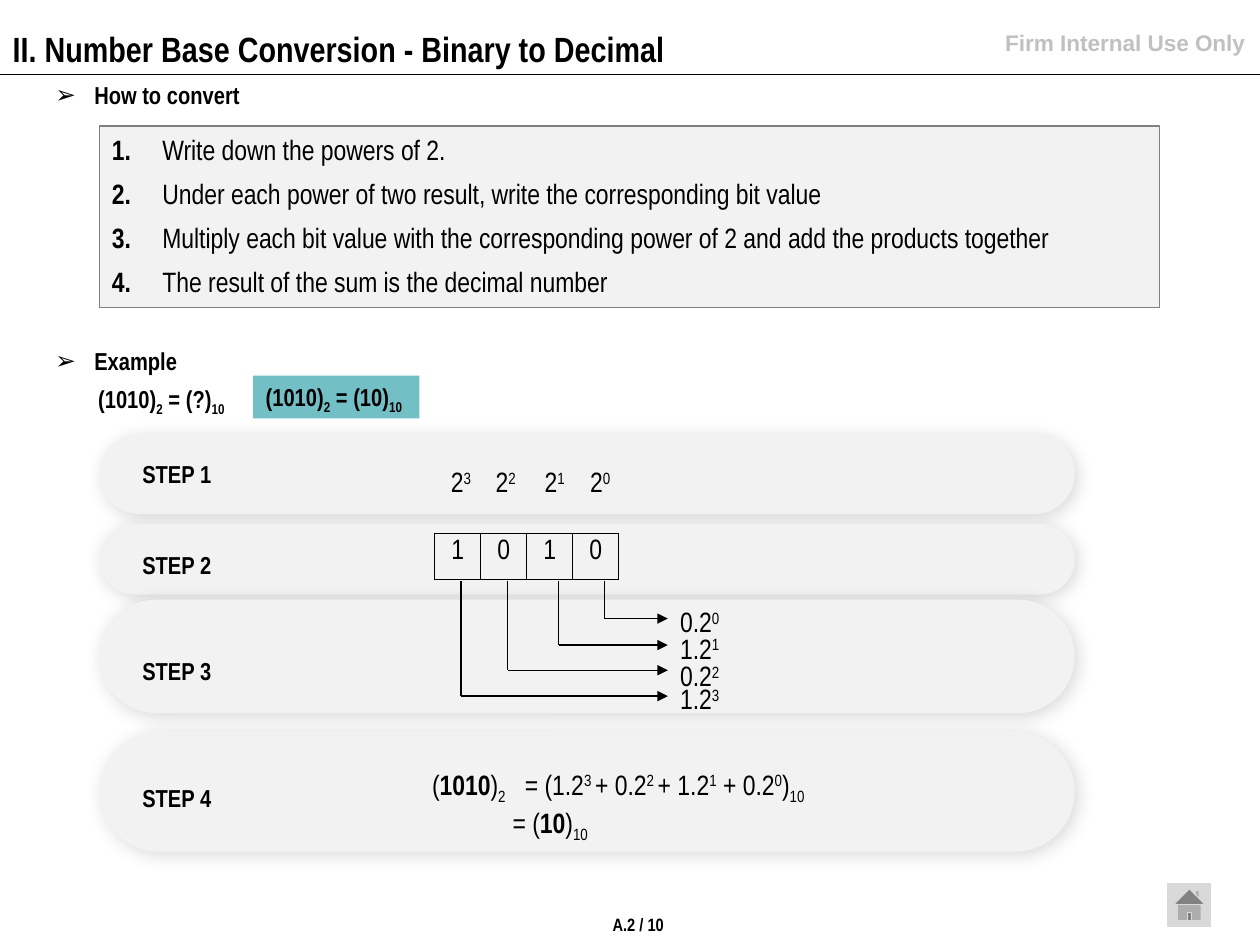
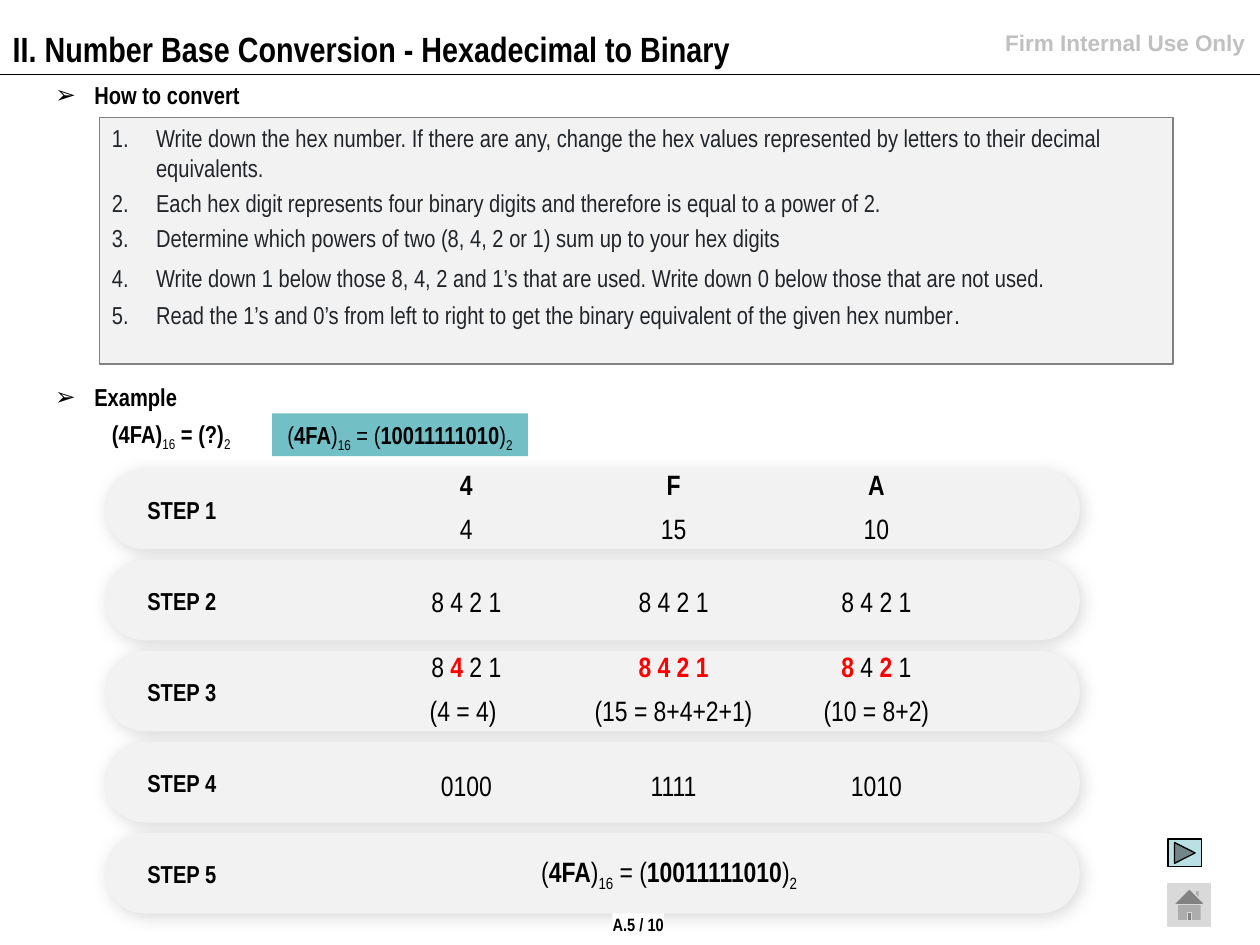
import pptx
import pptx.dml.color
import pptx.enum.shapes
import pptx.enum.text
import pptx.oxml.ns
import pptx.util
from lxml import etree

Pt = pptx.util.Pt
qn = pptx.oxml.ns.qn
SHAPE = pptx.enum.shapes.MSO_SHAPE
ALIGN = pptx.enum.text.PP_ALIGN
ANCHOR = pptx.enum.text.MSO_ANCHOR

COLORS = {
    "black": "000000",
    "white": "FFFFFF",
    "panel": "F2F2F2",
    "panel_line": "808080",
    "ink": "212529",
    "red": "FF0000",
    "answer": "72BFC5",
    "notice": "C0C0C0",
    "home": "D9D9D9",
    "next": "BBE0E3",
}
NO_GRID = "{2D5ABB26-0587-4C30-8999-92F81FD0307C}"
BAND_W = 557.3


def rgb(name):
    return pptx.dml.color.RGBColor.from_string(COLORS[name])


def sub(parent, tag, **attrs):
    return etree.SubElement(parent, qn(tag), {k: str(v) for k, v in attrs.items()})


class Deck:
    font = "Arial Narrow"

    def __init__(self):
        self.prs = pptx.Presentation()
        self.prs.slide_width, self.prs.slide_height = Pt(720), Pt(540)
        self.s = None

    def slide(self, title, page):
        self.s = self.prs.slides.add_slide(self.prs.slide_layouts[5])
        sp = self.s.shapes.title
        sp.left, sp.top, sp.width, sp.height = Pt(0), Pt(12.2), Pt(602.6), Pt(31.7)
        sp.text_frame.auto_size = pptx.enum.text.MSO_AUTO_SIZE.NONE
        self.fill_text(sp.text_frame, [[(title, "b")]], 20)
        self.line(0, 42.5, 720, 42.5)
        self.text(519.8, 13, 198.7, 23, [[("Firm Internal Use Only", "b")]], 12.9,
                  color="notice", align=ALIGN.RIGHT, font="Arial")
        self.page = page

    def finish_slide(self):
        self.button(SHAPE.ACTION_BUTTON_HOME, 504.7, 24.5, 24.5, "home", "home")
        sp = self.box(SHAPE.RECTANGLE, 349.9, 522, 29.5, 12.2, "white")
        tf = sp.text_frame
        tf.margin_left = tf.margin_right = tf.margin_top = tf.margin_bottom = 0
        self.fill_text(tf, [[(self.page, "b")]], 10.2, align=ALIGN.CENTER,
                       anchor=ANCHOR.MIDDLE, wrap=False)

    def run(self, p, item, size, color="black", font=None):
        text, style = item if isinstance(item, tuple) else (item, "")
        r = p.add_run()
        r.text = text
        f = r.font
        f.name, f.size, f.bold = font or self.font, Pt(size), "b" in style
        f.color.rgb = rgb("red" if "r" in style else color)
        if "^" in style or "_" in style:
            r._r.get_or_add_rPr().set("baseline", "30000" if "^" in style else "-25000")
        return r

    def fill_text(self, tf, paragraphs, size, color="black", align=ALIGN.LEFT,
                  anchor=ANCHOR.TOP, wrap=True, font=None):
        tf.word_wrap, tf.vertical_anchor = wrap, anchor
        for i, items in enumerate(paragraphs):
            p = tf.add_paragraph() if i else tf.paragraphs[0]
            p.alignment = align
            for item in items:
                self.run(p, item, size, color, font)
        return tf

    def text(self, x, y, w, h, paragraphs, size, **style):
        sp = self.s.shapes.add_textbox(Pt(x), Pt(y), Pt(w), Pt(h))
        return self.fill_text(sp.text_frame, paragraphs, size, **style)

    def box(self, kind, x, y, w, h, fill, line=None):
        sp = self.s.shapes.add_shape(kind, Pt(x), Pt(y), Pt(w), Pt(h))
        sp.shadow.inherit = False
        sp.fill.solid()
        sp.fill.fore_color.rgb = rgb(fill)
        if line:
            sp.line.color.rgb, sp.line.width = rgb(line), Pt(0.75)
        else:
            sp.line.fill.background()
        return sp

    def button(self, kind, y, w, h, fill, line):
        self.box(kind, 667.4, y, w, h, fill, line)

    def line(self, x1, y1, x2, y2, arrow=False):
        c = self.s.shapes.add_connector(pptx.enum.shapes.MSO_CONNECTOR.STRAIGHT,
                                        Pt(x1), Pt(y1), Pt(x2), Pt(y2))
        c.line.color.rgb, c.line.width = rgb("black"), Pt(0.75)
        if arrow:
            sub(c.line._get_or_add_ln(), "a:tailEnd", type="triangle")
        sub(c._element.spPr, "a:effectLst")

    def indent(self, p, left, hanging=0):
        pPr = p._p.get_or_add_pPr()
        pPr.set("marL", str(Pt(left)))
        pPr.set("indent", str(-Pt(hanging)))
        return pPr

    def tabs(self, p, *stops):
        tab_list = sub(p._p.get_or_add_pPr(), "a:tabLst")
        for stop in stops:
            sub(tab_list, "a:tab", pos=int(Pt(stop)), algn="l")

    def heading(self, text, y, w=620.6):
        p = self.text(24.5, y, w, 33.8, [[(text, "b")]], 14,
                      anchor=ANCHOR.MIDDLE).paragraphs[0]
        p.line_spacing = 0.9
        pPr = self.indent(p, 22.3, 22.3)
        sub(pPr, "a:buFont", typeface="Arial")
        sub(pPr, "a:buChar", char="➢")

    def numbered_panel(self, y, w, h, paragraphs, gaps, size, color):
        sp = self.box(SHAPE.RECTANGLE, 56.9, y, w, h, "panel", "panel_line")
        tf = self.fill_text(sp.text_frame, paragraphs, size, color=color)
        for p, gap in zip(tf.paragraphs, gaps):
            p.space_before = Pt(gap)
            sub(self.indent(p, 25.2, 25.2), "a:buAutoNum", type="arabicPeriod")
        return tf

    def question(self, x, y, w, items):
        tf = self.text(x, y, w, 25.9, [items], 14, anchor=ANCHOR.MIDDLE)
        tf.paragraphs[0].line_spacing = 0.9

    def answer(self, x, y, w, items, align=ALIGN.LEFT):
        sp = self.box(SHAPE.RECTANGLE, x, y, w, 24.5, "answer")
        self.fill_text(sp.text_frame, [items], 14, align=align, wrap=False)

    def step(self, number, x, y, h, label_y):
        sp = self.box(SHAPE.ROUNDED_RECTANGLE, x, y, BAND_W, h, "panel")
        sp.adjustments[0] = 0.5
        effects = sp._element.spPr.find(qn("a:effectLst"))
        shadow = sub(effects, "a:outerShdw", blurRad=int(Pt(10)), dist=int(Pt(2)),
                     dir=45 * 60000, algn="ctr", rotWithShape=0)
        tint = sub(shadow, "a:srgbClr", val=COLORS["black"])
        sub(tint, "a:alpha", val=15000)
        self.text(x + 17.3, label_y, 54, 24.5, [[(f"STEP {number}", "b")]], 14, wrap=False)

    def table(self, x, y, widths, heights):
        frame = self.s.shapes.add_table(len(heights), len(widths), Pt(x), Pt(y),
                                        Pt(sum(widths)), Pt(sum(heights)))
        t = frame.table
        t.first_row = t.horz_banding = False
        t._tbl.tblPr.find(qn("a:tableStyleId")).text = NO_GRID
        for column, w in zip(t.columns, widths):
            column.width = Pt(w)
        for row, h in zip(t.rows, heights):
            row.height = Pt(h)
        return t

    def cell(self, c, items, anchor=ANCHOR.TOP, fill=None, margins=(7.2, 3.6), border=False):
        c.margin_left = c.margin_right = Pt(margins[0])
        c.margin_top = c.margin_bottom = Pt(margins[1])
        c.vertical_anchor = anchor
        if fill:
            c.fill.solid()
            c.fill.fore_color.rgb = rgb(fill)
        else:
            c.fill.background()
        p = c.text_frame.paragraphs[0]
        p.alignment = ALIGN.CENTER
        for item in items:
            self.run(p, item, 16)
        if not items:
            sub(p._p, "a:endParaRPr", sz=800)
        if border:
            tcPr = c._tc.get_or_add_tcPr()
            for i, side in enumerate(("a:lnL", "a:lnR", "a:lnT", "a:lnB")):
                ln = sub(tcPr, side, w=int(Pt(0.5)))
                sub(sub(ln, "a:solidFill"), "a:srgbClr", val=COLORS["black"])
                tcPr.insert(i, ln)


def binary_to_decimal(d):
    d.slide("II. Number Base Conversion - Binary to Decimal", "A.2 / 10")
    rules = [
        "Write down the powers of 2.",
        "Under each power of two result, write the corresponding bit value",
        "Multiply each bit value with the corresponding power of 2 and add the products together",
        "The result of the sum is the decimal number",
    ]
    d.heading("How to convert", 38.2)
    d.numbered_panel(72, 605.5, 103.7, [[(" ", "b"), rule] for rule in rules],
                     [6] * 4, 16, "black")
    d.heading("Example", 190.1)
    d.question(49, 215.3, 620.6, [("(1010)", "b"), ("2", "b_"), (" = (?)", "b"), ("10", "b_")])
    d.answer(144.7, 214.6, 95, [("(1010)", "b"), ("2", "b_"), (" = (10)", "b"), ("10", "b_")])

    steps = [(247.7, 46.1, 258.5), (299.5, 40.3, 311), (342.7, 64.8, 371.5), (418.3, 68.4, 444.2)]
    for n, (y, h, label_y) in enumerate(steps, 1):
        d.step(n, 56.9, y, h, label_y)

    powers = [item for n in "3210" for item in ("\t2", (n, "^"))]
    tf = d.text(232.6, 262.1, 149.8, 26.6, [powers], 16)
    d.tabs(tf.paragraphs[0], 18, 43.5, 71.5, 97.5)

    bits = d.table(248.4, 304.6, [26.3] * 4, [26.6])
    for c, bit in zip(bits.rows[0].cells, "1010"):
        d.cell(c, [bit], fill="panel", border=True)

    branches = [(345.6, 353.5, 342), (319.3, 368.6, 357.1),
                (290.2, 383, 373), (263.5, 397.8, 385.9)]
    for power, (x, y, product_y) in enumerate(branches):
        d.line(x, y, 381.6, y, arrow=True)
        d.line(x, 331.9, x, y)
        d.text(381.6, product_y, 57.6, 26.6, [[f"{power % 2}.2", (str(power), "^")]], 16)

    total = d.text(239.8, 434.9, 247, 59, [
        ["(", ("1010", "b"), ")", ("2", "_"), "\t= (1.2", ("3 ", "^"), "+ 0.2", ("2 ", "^"),
         "+ 1.2", ("1", "^"), " + 0.2", ("0", "^"), ")", ("10", "_")],
        ["= (", ("10", "b"), ")", ("10", "_")],
    ], 16)
    d.tabs(total.paragraphs[0], 53)
    d.indent(total.paragraphs[1], 46)
    d.finish_slide()


def hexadecimal_to_binary(d):
    d.slide("II. Number Base Conversion - Hexadecimal to Binary", "A.5 / 10")
    rules = [
        "Write down the hex number. If there are any, change the hex values represented "
        "by letters to their decimal equivalents.",
        "Each hex digit represents four binary digits and therefore is equal to a power of 2.",
        "Determine which powers of two (8, 4, 2 or 1) sum up to your hex digits",
        "Write down 1 below those 8, 4, 2 and 1’s that are used. "
        "Write down 0 below those that are not used.",
        "Read the 1’s and 0’s from left to right to get the binary equivalent "
        "of the given hex number",
    ]
    result = ["(", ("4FA", "b"), ")", ("16", "_"), " = (", ("10011111010", "b"), ")", ("2", "_")]
    d.heading("How to convert", 38.2)
    tf = d.numbered_panel(67, 613.4, 141.1, [[rule] for rule in rules],
                          [3.2, 3.2, 3.2, 6, 3.2], 14, "ink")
    d.run(tf.paragraphs[-1], ".", 15, "ink")
    d.heading("Example", 211, 133.9)
    d.question(56.9, 235.4, 164.9, [("(4FA)", "b"), ("16", "_"), (" = (?)", "b"), ("2", "_")])

    for i in range(5):
        y = 267.8 + 52.05 * i
        d.step(i + 1, 59.8, y, 46.1, y + 11.5)

    red = "br"
    rows = {
        0: [[("4", "b")], [("F", "b")], [("A", "b")]],
        1: [["4"], ["15"], ["10"]],
        2: [["8 4 2 1"]] * 3,
        4: [["8 ", ("4 ", red), "2 1"], [("8 4 2 1", red)], [("8 ", red), "4 ", ("2 ", red), "1"]],
        5: [["(4 = 4) "], ["(15 = 8+4+2+1)"], ["(10 = 8+2)"]],
        6: [["0100"], ["1111"], ["1010"]],
        8: [result, [], []],
    }
    t = d.table(139, 268.6, [68.4, 118.1, 118.8, 113],
                [24.5, 25.9, 21.6, 31.7, 24.5, 24.5, 21.6, 35.3, 21.6, 21.6])
    for r in range(10):
        for c, items in enumerate([[]] + rows.get(r, [[]] * 3)):
            d.cell(t.cell(r, c), items, margins=(5, 2.9),
                   anchor=ANCHOR.MIDDLE if r in (2, 6, 8) else ANCHOR.TOP)
    for r in (2, 6):
        for c in (1, 2, 3):
            t.cell(r, c).merge(t.cell(r + 1, c))
    t.cell(8, 1).merge(t.cell(9, 3))

    d.button(SHAPE.ACTION_BUTTON_FORWARD_OR_NEXT, 479.5, 19.4, 15.8, "next", "black")
    d.answer(155.5, 236.2, 146.2, result, ALIGN.CENTER)
    d.finish_slide()


def main():
    d = Deck()
    binary_to_decimal(d)
    hexadecimal_to_binary(d)
    d.prs.save("out.pptx")


if __name__ == "__main__":
    main()
